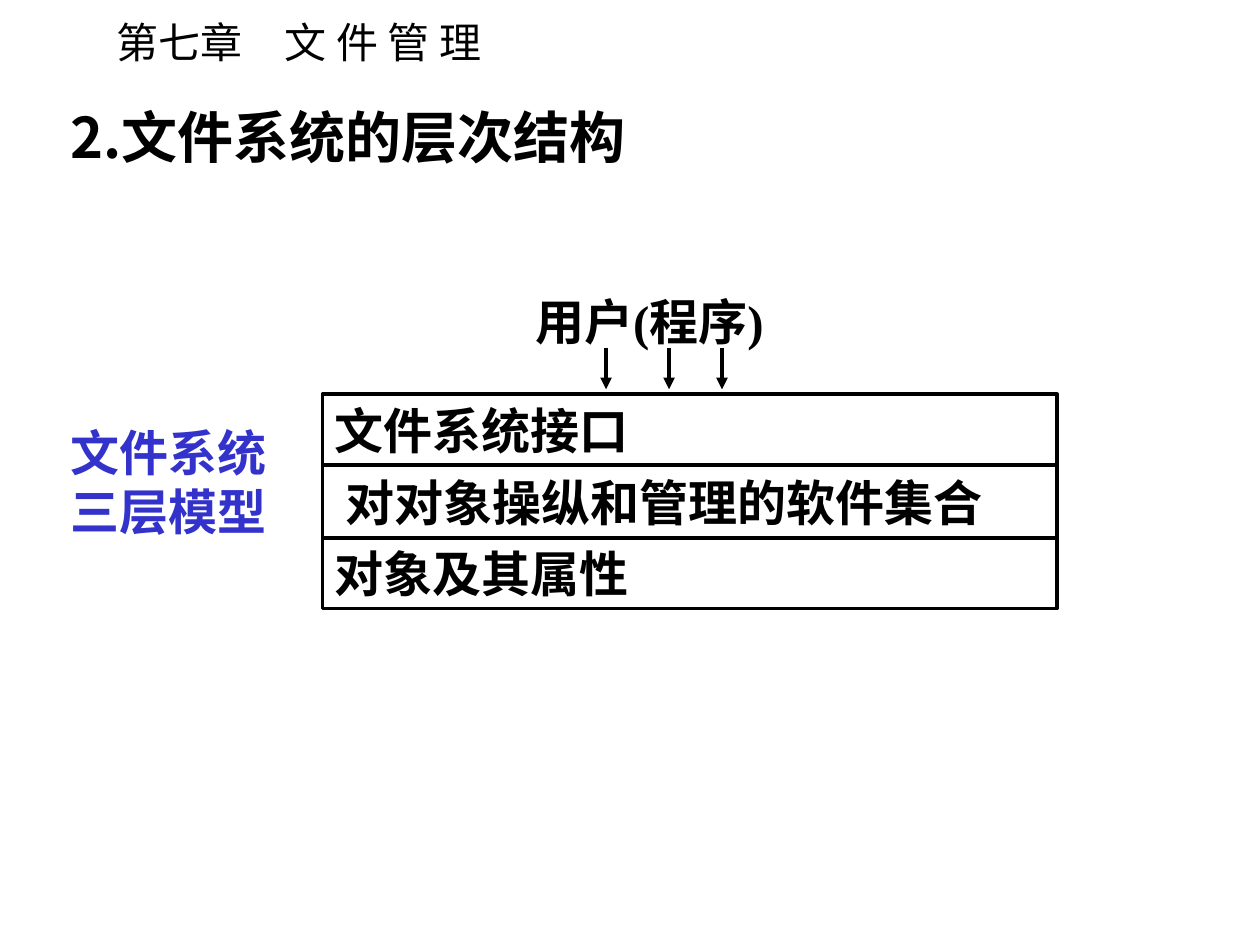
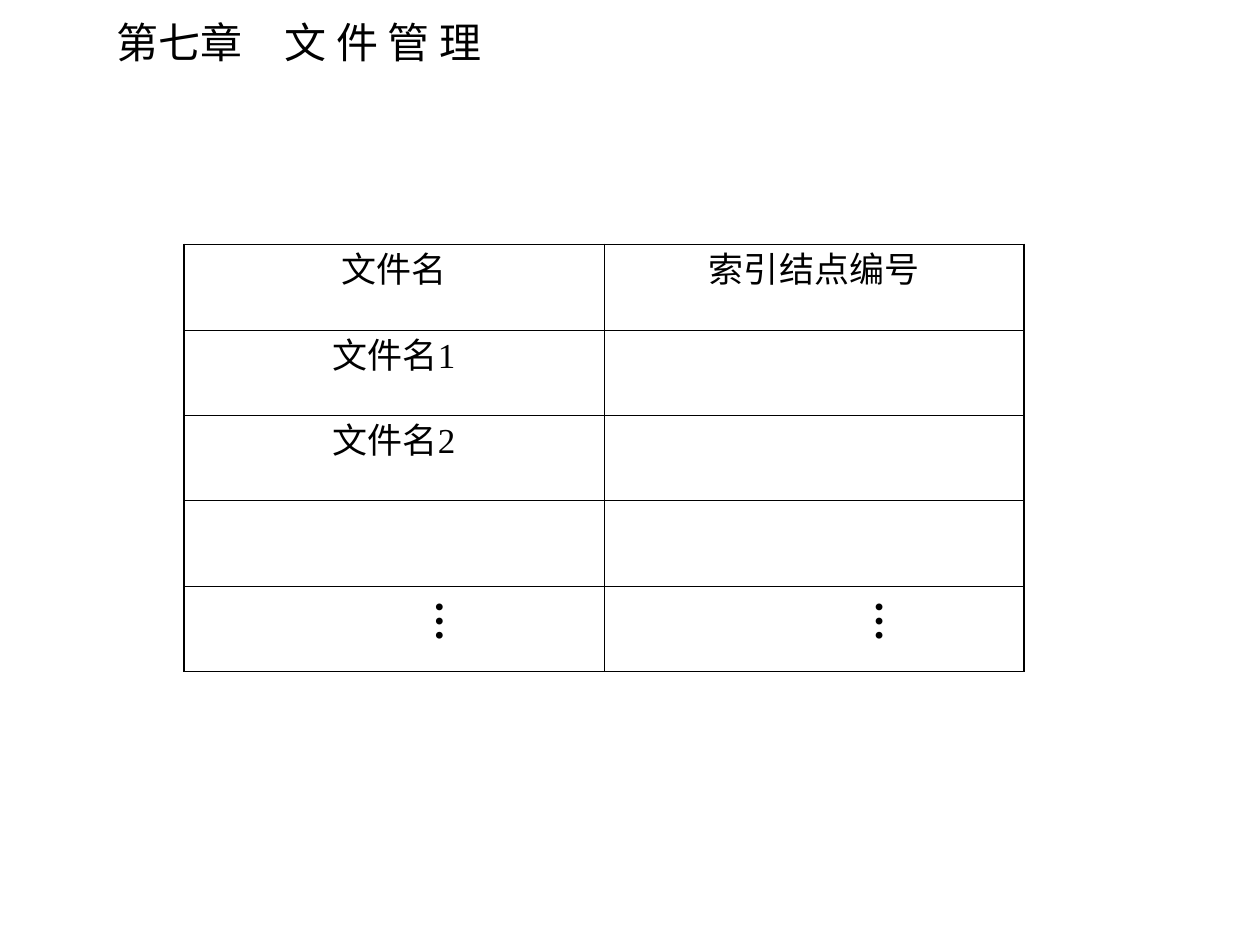
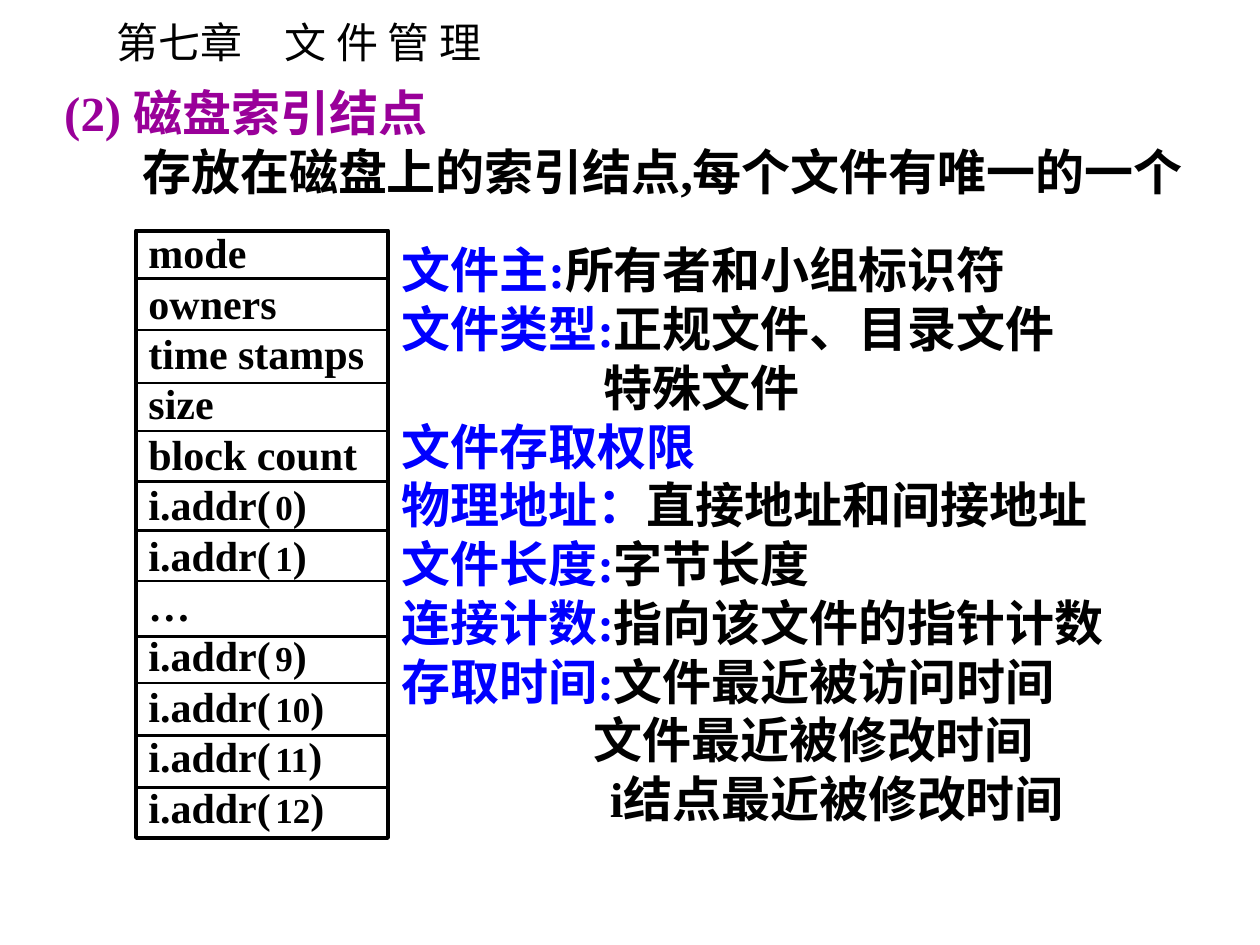
import pptx
import pptx.util
import pptx.dml.color
import pptx.enum.shapes
import pptx.enum.text
import pptx.oxml.ns
from dataclasses import dataclass
from lxml import etree

Inches = pptx.util.Inches
Pt = pptx.util.Pt
ALIGN = pptx.enum.text.PP_ALIGN
ANCHOR = pptx.enum.text.MSO_ANCHOR
qn = pptx.oxml.ns.qn


@dataclass(frozen=True)
class Theme:
    black: str = "000000"
    indigo: str = "3333CC"
    purple: str = "990099"
    blue: str = "0000FF"
    serif: str = "Times New Roman"
    sans: str = "Noto Sans CJK SC"
    heading: int = 32
    text: int = 28
    small: int = 24
    cell: int = 20
    gap: int = 10
    leading: float = 1.2
    thick: float = 2.25
    medium: float = 1.5
    outer: float = 1.08
    inner: float = 0.45


THEME = Theme()

# Content
CHAPTER = "第七章　文 件 管 理"

LAYERS_TITLE = "2.文件系统的层次结构"
LAYERS = ["文件系统接口", " 对对象操纵和管理的软件集合", "对象及其属性"]
LAYERS_LABEL = ["文件系统", "三层模型"]
LAYERS_USER = "用户(程序)"
LAYERS_BOX = (2.56, 3.13, 5.83, 1.7)
LAYER_DIVIDERS = [3.69, 4.27]
USER_ARROWS = [4.81, 5.31, 5.73]

DIRECTORY = [
    ("文件名", "索引结点编号"),
    ("文件名1", ""),
    ("文件名2", ""),
    ("", ""),
    ("", ""),
]
DIRECTORY_BOX = (1.46, 1.94, 6.67, 3.39)
ELLIPSES = [(3.25, ALIGN.LEFT), (6.74, ALIGN.CENTER)]

INODE_TITLE = "(2) 磁盘索引结点"
INODE_SUMMARY = "存放在磁盘上的索引结点,每个文件有唯一的一个"
INODE_FIELDS = ["mode", "owners", "time stamps", "size", "block count",
                0, 1, "…", 9, 10, 11, 12]  # a number is an address slot
INODE_BOX = (1.08, 1.83, 2, 4.82)
FIELD_DIVIDERS = [2.21, 2.62, 3.04, 3.42, 3.82, 4.21, 4.61, 5.05, 5.42, 5.84, 6.25]
# Term, explanation, left indent, font of the term
INODE_NOTES = [
    ("文件主:", "所有者和小组标识符", 0, THEME.serif),
    ("文件类型:", "正规文件、目录文件", 0, THEME.serif),
    ("", "特殊文件", 1.6, THEME.serif),
    ("文件存取权限", "", 0, THEME.sans),
    ("物理地址：", "直接地址和间接地址", 0, THEME.sans),
    ("文件长度:", "字节长度", 0, THEME.serif),
    ("连接计数:", "指向该文件的指针计数", 0, THEME.serif),
    ("存取时间:", "文件最近被访问时间", 0, THEME.serif),
    ("", "文件最近被修改时间", 1.52, THEME.serif),
    ("", "i结点最近被修改时间", 1.65, THEME.serif),
]


# Text
def add_span(para, text, *, size=THEME.text, color=THEME.black, font=THEME.serif, bold=True):
    span = para.add_run()
    span.text = text
    span.font.size = Pt(size)
    span.font.bold = bold
    span.font.color.rgb = pptx.dml.color.RGBColor.from_string(color)
    span.font.name = font
    etree.SubElement(span.font._element, qn("a:ea"), typeface=THEME.sans)


def add_para(frame, text="", *, size=THEME.text, before=0, indent=0, align=ALIGN.LEFT,
             leading=THEME.leading, **style):
    """Fill the empty first paragraph, or add one below, and return it."""
    para = frame.paragraphs[0]
    if para.runs:
        para = frame.add_paragraph()
    para.alignment = align
    para.space_before = Pt(before)
    if leading:
        para.line_spacing = Pt(round(size * leading, 1))
    properties = para._p.get_or_add_pPr()
    properties.set("marL", str(Inches(indent)))
    properties.set("indent", "0")
    etree.SubElement(properties, qn("a:buNone"))
    if text:
        add_span(para, text, size=size, **style)
    return para


def set_frame(shape, *, wrap=True, anchor=ANCHOR.MIDDLE, margins=(0.1, 0.05)):
    frame = shape.text_frame
    frame.auto_size = pptx.enum.text.MSO_AUTO_SIZE.NONE
    frame.word_wrap = wrap
    frame.vertical_anchor = anchor
    frame.margin_left = frame.margin_right = Inches(margins[0])
    frame.margin_top = frame.margin_bottom = Inches(margins[1])
    return frame


def add_box(page, area, **layout):
    box = page.shapes.add_textbox(*map(Inches, area))
    return box, set_frame(box, **layout)


def place(holder, area, **layout):
    holder.left, holder.top, holder.width, holder.height = map(Inches, area)
    return set_frame(holder, **layout)


# Lines and frames
def add_line(page, start, end, width, arrow=False):
    line = page.shapes.add_connector(
        pptx.enum.shapes.MSO_CONNECTOR.STRAIGHT, *map(Inches, start + end))
    line.line.width = Pt(width)
    line.line.color.rgb = pptx.dml.color.RGBColor.from_string(THEME.black)
    if arrow:
        etree.SubElement(line.line._get_or_add_ln(), qn("a:tailEnd"), type="triangle")
    etree.SubElement(line._element.spPr, qn("a:effectLst"))


def add_stack(page, area, dividers, width):
    """Draw an outlined box cut into rows and return its text frame."""
    left, _, breadth, _ = area
    box = page.shapes.add_shape(pptx.enum.shapes.MSO_SHAPE.RECTANGLE, *map(Inches, area))
    box.shadow.inherit = False
    box.fill.background()
    box.line.width = Pt(THEME.thick)
    box.line.color.rgb = pptx.dml.color.RGBColor.from_string(THEME.black)
    for y in dividers:
        add_line(page, (left, y), (left + breadth, y), width)
    return set_frame(box)


def set_borders(cell, edges):
    properties = cell._tc.get_or_add_tcPr()
    for position, (side, is_outer) in enumerate(edges.items()):
        width = THEME.outer if is_outer else THEME.inner
        border = etree.Element(qn("a:" + side), w=str(Pt(width)))
        fill = etree.SubElement(border, qn("a:solidFill"))
        etree.SubElement(fill, qn("a:srgbClr"), val=THEME.black)
        properties.insert(position, border)


# Slides
def add_chapter_header(deck, page):
    """Build the running header and move it to the master, for every slide."""
    box, frame = add_box(page, (0.83, 0.08, 3.16, 0.5), wrap=False, anchor=ANCHOR.TOP)
    add_para(frame, CHAPTER, size=THEME.small, font=THEME.sans, bold=False)
    deck.slide_master.shapes.element.append(box.element)


def build_layers(page):
    title = place(page.shapes.title, (0.46, 0.76, 4.69, 0.64), anchor=ANCHOR.TOP)
    add_para(title, LAYERS_TITLE, size=THEME.heading, before=8, font=THEME.sans)

    stack = add_stack(page, LAYERS_BOX, LAYER_DIVIDERS, THEME.thick)
    for layer in LAYERS:
        add_para(stack, layer, before=7)

    _, label = add_box(page, (0.46, 3.3, 1.75, 1.04), wrap=False)
    for text in LAYERS_LABEL:
        add_para(label, text, color=THEME.indigo)

    _, user = add_box(page, (4.15, 2.26, 2.29, 0.57), wrap=False)
    add_para(user, LAYERS_USER)
    for x in USER_ARROWS:
        add_line(page, (x, 2.76), (x, 3.09), THEME.thick, arrow=True)


def build_directory(page):
    last_row, last_column = len(DIRECTORY) - 1, len(DIRECTORY[0]) - 1
    table = page.shapes.add_table(
        last_row + 1, last_column + 1, *map(Inches, DIRECTORY_BOX)).table
    table.first_row = table.horz_banding = False
    for r, row in enumerate(DIRECTORY):
        for c, text in enumerate(row):
            cell = table.cell(r, c)
            cell.fill.background()
            set_borders(cell, {"lnL": c == 0, "lnR": c == last_column,
                               "lnT": r == 0, "lnB": r == last_row})
            if text:
                add_para(cell.text_frame, text, size=THEME.cell, before=5,
                         align=ALIGN.CENTER, bold=False)

    for left, align in ELLIPSES:
        _, frame = add_box(page, (left, 4.67, 0.6, 0.44), wrap=False,
                           anchor=ANCHOR.TOP, margins=(0.05, 0.1))
        frame._txBody.bodyPr.set("vert", "eaVert")
        add_para(frame, "…", size=THEME.small, align=align, leading=None)


def build_inode(page):
    title = place(page.shapes.title, (0.41, 0.37, 9.59, 1.5))
    add_para(title, INODE_TITLE, color=THEME.purple)
    add_para(title, INODE_SUMMARY, indent=0.62)

    stack = add_stack(page, INODE_BOX, FIELD_DIVIDERS, THEME.medium)
    for index, field in enumerate(INODE_FIELDS):
        leading = THEME.leading if index else THEME.leading * 0.8
        if isinstance(field, str):
            add_para(stack, field, size=THEME.small, leading=leading)
            continue
        para = add_para(stack, "i.addr(", size=THEME.small, leading=leading)
        add_span(para, " ", size=THEME.gap)
        add_span(para, str(field), size=THEME.cell)
        add_span(para, ")", size=THEME.small)

    notes = place(page.placeholders[1], (3.09, 1.85, 6.99, 4.77))
    for term, explanation, indent, font in INODE_NOTES:
        para = add_para(notes, indent=indent)
        if term:
            add_span(para, term, color=THEME.blue, font=font)
        if explanation:
            add_span(para, explanation)


def main():
    deck = pptx.Presentation()
    deck.slide_width, deck.slide_height = Inches(10), Inches(7.5)
    title_only, blank, title_and_body = (deck.slide_layouts[i] for i in (5, 6, 1))
    layers = deck.slides.add_slide(title_only)
    add_chapter_header(deck, layers)
    build_layers(layers)
    build_directory(deck.slides.add_slide(blank))
    build_inode(deck.slides.add_slide(title_and_body))
    deck.save("out.pptx")


if __name__ == "__main__":
    main()
